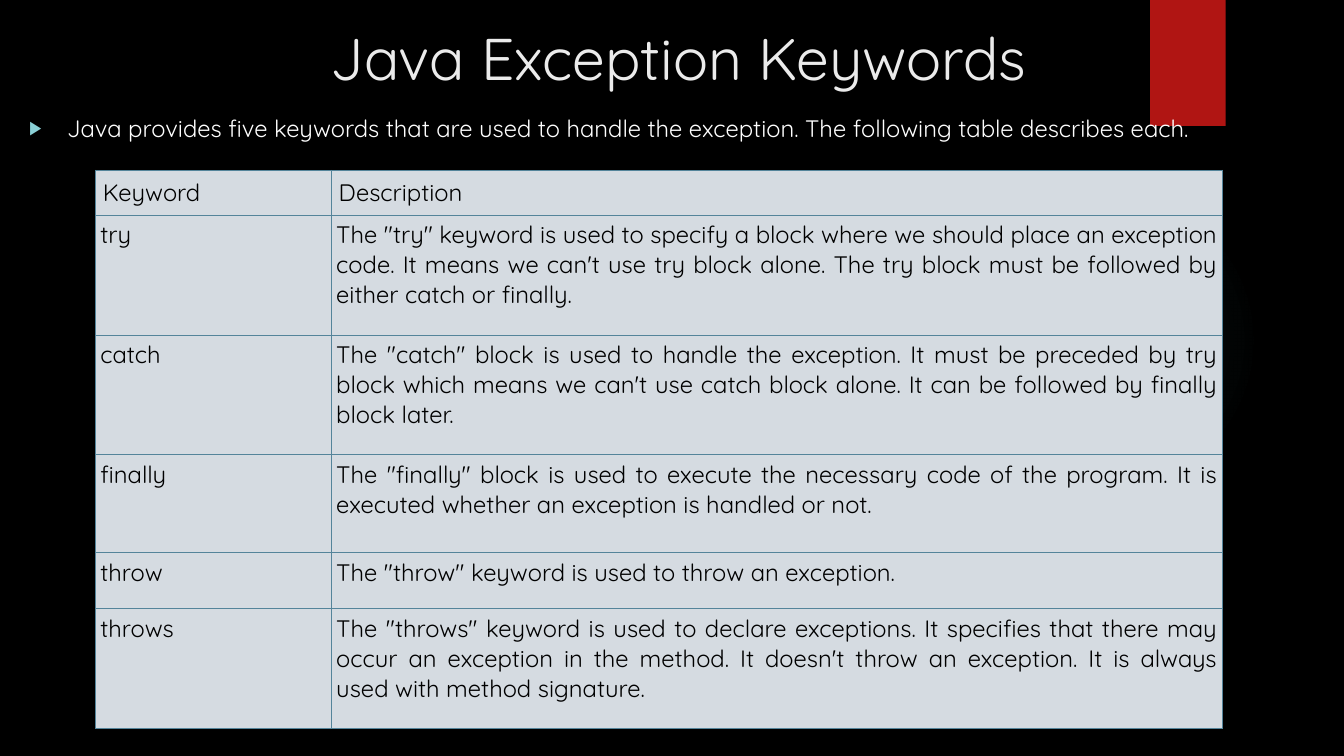
from pptx import Presentation
from pptx.dml.color import RGBColor
from pptx.enum.shapes import MSO_SHAPE
from pptx.enum.text import MSO_ANCHOR, MSO_AUTO_SIZE, PP_ALIGN
from pptx.oxml import parse_xml
from pptx.oxml.ns import nsdecls
from pptx.util import Pt

LEFT, CENTER, JUSTIFY = PP_ALIGN.LEFT, PP_ALIGN.CENTER, PP_ALIGN.JUSTIFY
TOP = MSO_ANCHOR.TOP
NO_FIT = MSO_AUTO_SIZE.NONE
OVAL, RECTANGLE = MSO_SHAPE.OVAL, MSO_SHAPE.RECTANGLE

FONT = "Quicksand"
TEXT_SIZE = 17
COLORS = {
    "background": "000000",
    "glow": "50B9C1",
    "ribbon": "B01513",
    "title": "EBEBEB",
    "body": "FFFFFF",
    "bullet": "8AD0D6",
    "cell": "D5DBE1",
    "cell_text": "000000",
    "border": "54849A",
}

TITLE = "Java Exception Keywords"
INTRO = ("Java provides five keywords that are used to handle the exception. "
         "The following table describes each.")
ROWS = [
    ("Keyword", "Description"),
    ("try", 'The "try" keyword is used to specify a block where we should place an '
            "exception code. It means we can't use try block alone. The try block "
            "must be followed by either catch or finally."),
    ("catch", 'The "catch" block is used to handle the exception. It must be preceded '
              "by try block which means we can't use catch block alone. It can be "
              "followed by finally block later."),
    ("finally", 'The "finally" block is used to execute the necessary code of the '
                "program. It is executed whether an exception is handled or not."),
    ("throw", 'The "throw" keyword is used to throw an exception.'),
    ("throws", 'The "throws" keyword is used to declare exceptions. It specifies that '
               "there may occur an exception in the method. It doesn't throw an "
               "exception. It is always used with method signature."),
]
COLUMN_WIDTHS = [168.5, 636.5]
ROW_HEIGHTS = [31.4, 85.7, 85.7, 70, 40, 85.7]


def rgb(name):
    return RGBColor.from_string(COLORS[name])


def add_text(paragraph, text, size, color, alignment):
    paragraph.alignment = alignment
    run = paragraph.add_run()
    run.text = text
    run.font.name = FONT
    run.font.size = Pt(size)
    run.font.color.rgb = rgb(color)


def add_plain_shape(slide, kind, box, color):
    shape = slide.shapes.add_shape(kind, *map(Pt, box))
    shape.shadow.inherit = False
    shape.fill.solid()
    shape.fill.fore_color.rgb = rgb(color)
    shape.line.fill.background()
    return shape


def add_glow(slide, box):
    """Draw a circle that fades out from its centre."""
    shape = add_plain_shape(slide, OVAL, box, "glow")
    stops = "".join(
        f'<a:gs pos="{position * 1000}"><a:srgbClr val="{COLORS["glow"]}">'
        f'<a:alpha val="{alpha * 1000}"/></a:srgbClr></a:gs>'
        for position, alpha in [(0, 7), (36, 6), (69, 0)])
    gradient = parse_xml(
        f'<a:gradFill {nsdecls("a")}><a:gsLst>{stops}</a:gsLst><a:path path="circle">'
        '<a:fillToRect l="50000" t="50000" r="50000" b="50000"/></a:path></a:gradFill>')
    properties = shape.element.spPr
    properties.replace(properties.find("{*}solidFill"), gradient)


def fill_placeholder(shape, box, text, size, color, alignment):
    shape.left, shape.top, shape.width, shape.height = map(Pt, box)
    frame = shape.text_frame
    frame.word_wrap = True
    frame.auto_size = NO_FIT
    frame.vertical_anchor = TOP
    paragraph = frame.paragraphs[0]
    paragraph.space_before = Pt(10)
    add_text(paragraph, text, size, color, alignment)
    return paragraph


def add_bullet(paragraph, indent):
    properties = paragraph._p.get_or_add_pPr()
    properties.set("marL", str(Pt(indent)))
    properties.set("indent", str(-Pt(indent)))
    for markup in (f'<a:buClr {nsdecls("a")}><a:srgbClr val="{COLORS["bullet"]}"/></a:buClr>',
                   f'<a:buSzPct {nsdecls("a")} val="80000"/>',
                   f'<a:buChar {nsdecls("a")} char="▶"/>'):
        properties.append(parse_xml(markup))


def add_borders(cell):
    properties = cell._tc.get_or_add_tcPr()
    for side in "LRTB":
        properties.append(parse_xml(
            f'<a:ln{side} {nsdecls("a")} w="{Pt(0.75)}"><a:solidFill>'
            f'<a:srgbClr val="{COLORS["border"]}"/></a:solidFill></a:ln{side}>'))


def format_cell(cell, text, is_header):
    add_borders(cell)
    cell.fill.solid()
    cell.fill.fore_color.rgb = rgb("cell")
    margin = Pt(5.25 if is_header else 3.5)
    cell.margin_left = cell.margin_right = margin
    cell.margin_top = cell.margin_bottom = margin
    add_text(cell.text_frame.paragraphs[0], text, TEXT_SIZE, "cell_text",
             LEFT if is_header else JUSTIFY)


def add_keyword_table(slide, left, top):
    table = slide.shapes.add_table(
        len(ROWS), len(COLUMN_WIDTHS), Pt(left), Pt(top),
        Pt(sum(COLUMN_WIDTHS)), Pt(sum(ROW_HEIGHTS))).table
    table.first_row = table.horz_banding = False
    for column, width in zip(table.columns, COLUMN_WIDTHS):
        column.width = Pt(width)
    for index, (row, height, texts) in enumerate(zip(table.rows, ROW_HEIGHTS, ROWS)):
        row.height = Pt(height)
        for cell, text in zip(row.cells, texts):
            format_cell(cell, text, index == 0)


def main():
    presentation = Presentation()
    presentation.slide_width, presentation.slide_height = Pt(960), Pt(540)
    slide = presentation.slides.add_slide(presentation.slide_layouts[1])
    slide.background.fill.solid()
    slide.background.fill.fore_color.rgb = rgb("background")
    title, body = slide.placeholders

    # Decoration, moved behind the placeholders
    add_glow(slide, (677.5, 131.8, 221.8, 221.8))
    add_plain_shape(slide, RECTANGLE, (821.5, 0, 54, 90), "ribbon")
    for placeholder in (body, title):
        slide.shapes._spTree.append(placeholder.element)

    # Title and introduction
    fill_placeholder(title, (8.6, 12.2, 951.8, 58.3), TITLE, 42, "title", CENTER)
    intro = fill_placeholder(body, (13.7, 77.8, 925.9, 28.1), INTRO,
                             TEXT_SIZE, "body", JUSTIFY)
    add_bullet(intro, 27)

    # Keyword table
    add_keyword_table(slide, 68.2, 121.7)

    presentation.save("out.pptx")


if __name__ == "__main__":
    main()
